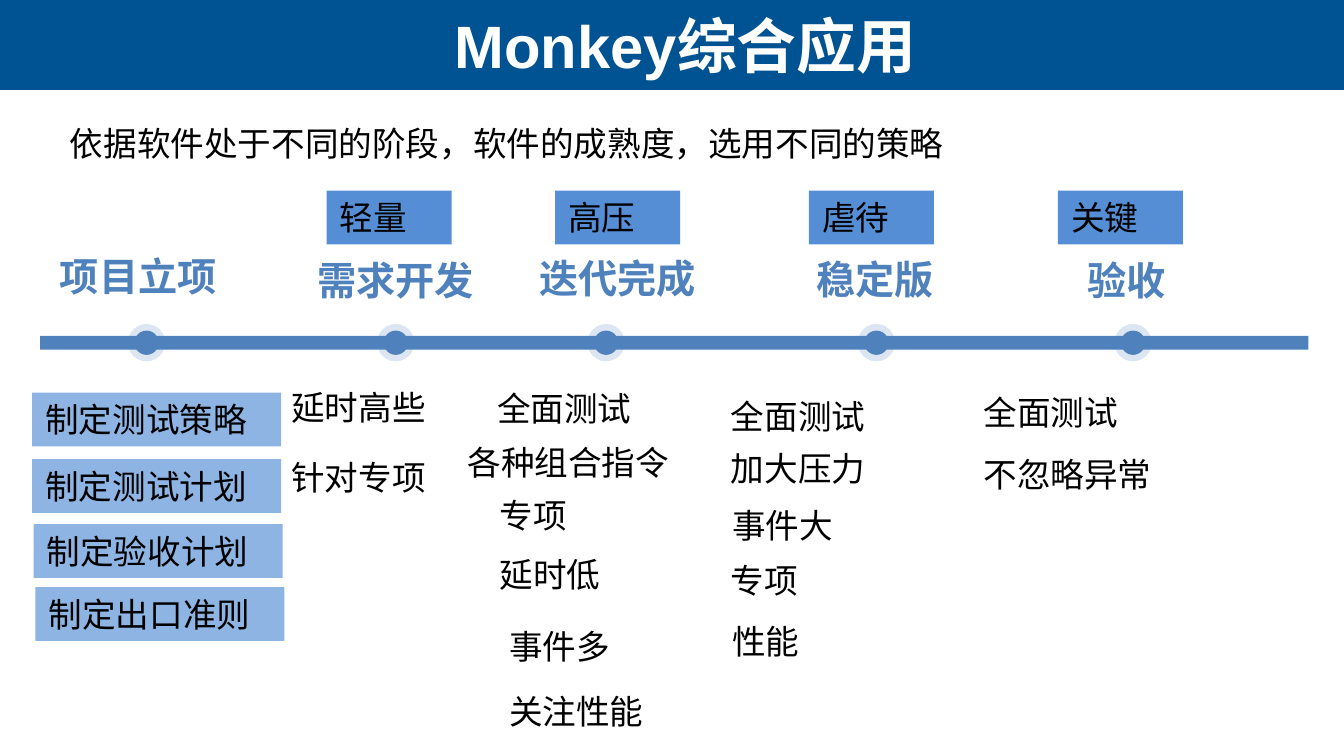
from dataclasses import dataclass

import pptx
import pptx.dml.color
import pptx.enum.shapes
import pptx.enum.text
import pptx.util

Pt = pptx.util.Pt
Shape = pptx.enum.shapes.MSO_SHAPE
Align = pptx.enum.text.PP_ALIGN
Anchor = pptx.enum.text.MSO_ANCHOR
AutoSize = pptx.enum.text.MSO_AUTO_SIZE

NAVY, BLUE, HALO = "005392", "4F81BD", "DCE6F2"
TAG_BLUE, PLAN_BLUE = "558ED5", "8EB4E3"
BLACK, WHITE = "000000", "FFFFFF"
BOX_HEIGHT = 28.8
LABEL_HEIGHT = 31
LINE_Y = 183.6


@dataclass
class Box:
    left: float
    top: float
    width: float
    height: float = BOX_HEIGHT


@dataclass
class Item:
    text: str
    left: float
    top: float
    width: float


@dataclass
class Stage:
    name: str
    label: Box
    dot_x: float
    items: list[Item]
    item_fill: str | None = None
    tag: str | None = None
    tag_left: float = 0


STAGES = [
    Stage("项目立项", Box(23, 132.5, 102.2, LABEL_HEIGHT), 78.5, [
        Item("制定测试策略", 17.2, 210.4, 133.4),
        Item("制定测试计划", 17.2, 246, 133.4),
        Item("制定验收计划", 18, 280.8, 133.4),
        Item("制定出口准则", 19, 314.6, 133.4),
    ], item_fill=PLAN_BLUE),
    Stage("需求开发", Box(149, 134.6, 126, LABEL_HEIGHT), 212, [
        Item("延时高些", 149, 203.8, 115.2),
        Item("针对专项", 149, 241.2, 115.2),
    ], tag="轻量", tag_left=175),
    Stage("迭代完成", Box(268.6, 133.2, 124.6, LABEL_HEIGHT), 324.7, [
        Item("全面测试", 259.2, 204.5, 134),
        Item("各种组合指令", 243.4, 233.3, 169.2),
        Item("专项", 260.6, 261.4, 134),
        Item("延时低", 260.6, 293, 134),
        Item("事件多", 265.7, 332, 134),
        Item("关注性能", 265.7, 366.5, 134),
    ], tag="高压", tag_left=297.4),
    Stage("稳定版", Box(427.7, 133.9, 82, LABEL_HEIGHT), 469.5, [
        Item("全面测试", 384.5, 208.8, 169.2),
        Item("加大压力", 384.5, 236.2, 169.2),
        Item("事件大", 385.2, 267.1, 169.2),
        Item("专项", 384.5, 296.6, 169.2),
        Item("性能", 385.2, 329, 169.2),
    ], tag="虐待", tag_left=433.4),
    Stage("验收", Box(562.3, 134.6, 82.8, LABEL_HEIGHT), 607, [
        Item("全面测试", 519.8, 206.6, 169.2),
        Item("不忽略异常", 519.8, 239.8, 169.2),
    ], tag="关键", tag_left=566.8),
]


def rgb(color: str):
    return pptx.dml.color.RGBColor.from_string(color)


def add_filled(slide, kind, box: Box, color: str):
    shape = slide.shapes.add_shape(
        kind, Pt(box.left), Pt(box.top), Pt(box.width), Pt(box.height))
    shape.shadow.inherit = False
    shape.fill.solid()
    shape.fill.fore_color.rgb = rgb(color)
    shape.line.fill.background()
    return shape


def write(shape, text: str, size: float, color: str, font: str = "Arial",
          bold: bool = False, align=Align.LEFT, anchor=Anchor.TOP) -> None:
    frame = shape.text_frame
    frame.text = text
    frame.word_wrap = True
    frame.vertical_anchor = anchor
    paragraph = frame.paragraphs[0]
    paragraph.alignment = align
    paragraph.font.size = Pt(size)
    paragraph.font.name = font
    paragraph.font.bold = bold
    paragraph.font.color.rgb = rgb(color)


def add_text_box(slide, box: Box):
    return slide.shapes.add_textbox(
        Pt(box.left), Pt(box.top), Pt(box.width), Pt(box.height))


def add_body(slide, text: str, box: Box, fill: str | None = None) -> None:
    """Add 18 pt body text, on a filled rectangle when a fill is given."""
    if fill:
        shape = add_filled(slide, Shape.RECTANGLE, box, fill)
    else:
        shape = add_text_box(slide, box)
    write(shape, text, 18, BLACK)
    shape.text_frame.auto_size = AutoSize.SHAPE_TO_FIT_TEXT


def add_circle(slide, center_x: float, diameter: float, color: str) -> None:
    box = Box(center_x - diameter / 2, LINE_Y - diameter / 2, diameter, diameter)
    add_filled(slide, Shape.OVAL, box, color)


def add_title(slide, text: str) -> None:
    title = slide.shapes.title
    title.left, title.top, title.width, title.height = Pt(14.4), 0, Pt(705.6), Pt(48.2)
    write(title, text, 32, WHITE, bold=True, align=Align.CENTER, anchor=Anchor.MIDDLE)
    band = add_filled(slide, Shape.RECTANGLE, Box(0, 0, 720, 48.2), NAVY)
    title.element.addprevious(band.element)


def add_stage(slide, stage: Stage) -> None:
    add_circle(slide, stage.dot_x, 13, BLUE)
    write(add_text_box(slide, stage.label), stage.name, 21, BLUE, font="Calibri",
          bold=True, align=Align.CENTER, anchor=Anchor.MIDDLE)
    if stage.tag:
        add_body(slide, stage.tag, Box(stage.tag_left, 102.2, 67), TAG_BLUE)
    for item in stage.items:
        add_body(slide, item.text, Box(item.left, item.top, item.width), stage.item_fill)


def main() -> None:
    presentation = pptx.Presentation()
    presentation.slide_width, presentation.slide_height = Pt(720), Pt(405)
    slide = presentation.slides.add_slide(presentation.slide_layouts[5])
    add_title(slide, "Monkey综合应用")
    add_body(slide, "依据软件处于不同的阶段，软件的成熟度，选用不同的策略",
             Box(30.4, 62.6, 622.8))
    for stage in STAGES:
        add_circle(slide, stage.dot_x, 20, HALO)
    add_filled(slide, Shape.RECTANGLE, Box(21.5, 180, 679.5, 7.4), BLUE)
    for stage in STAGES:
        add_stage(slide, stage)
    presentation.save("out.pptx")


if __name__ == "__main__":
    main()
